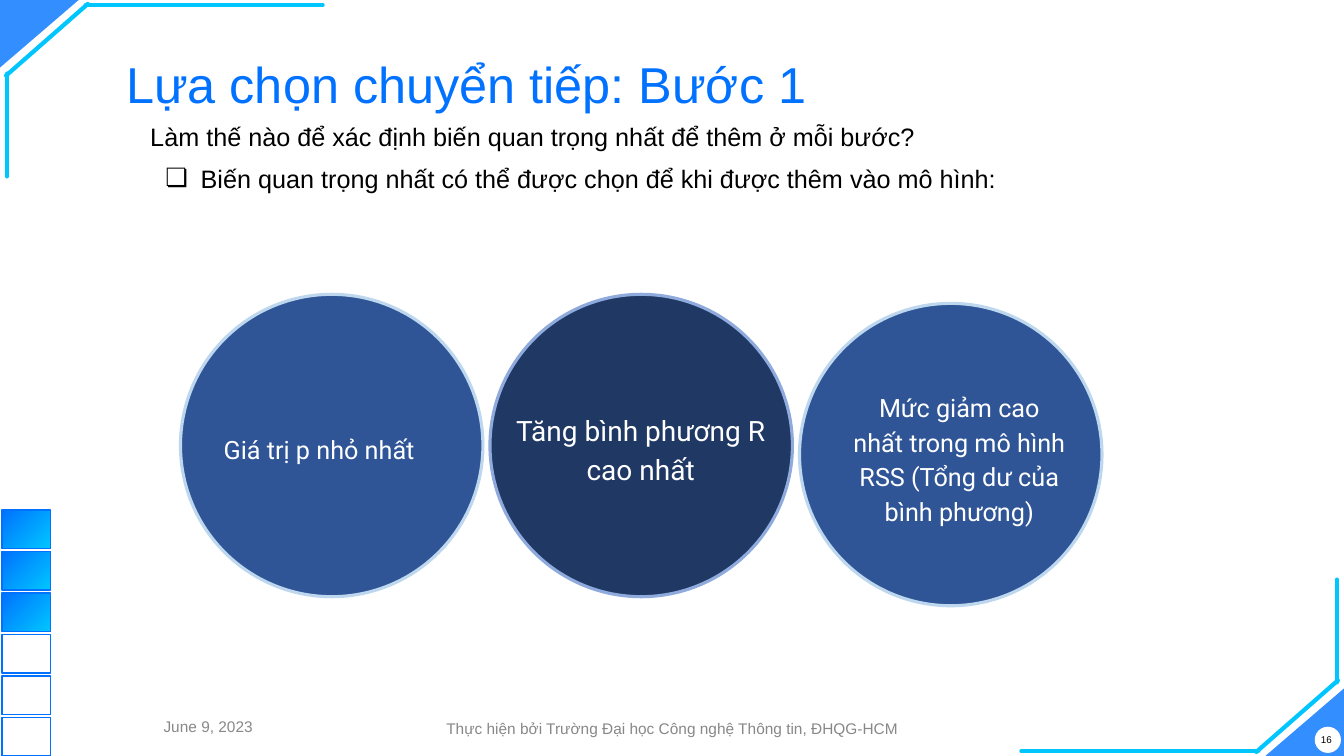
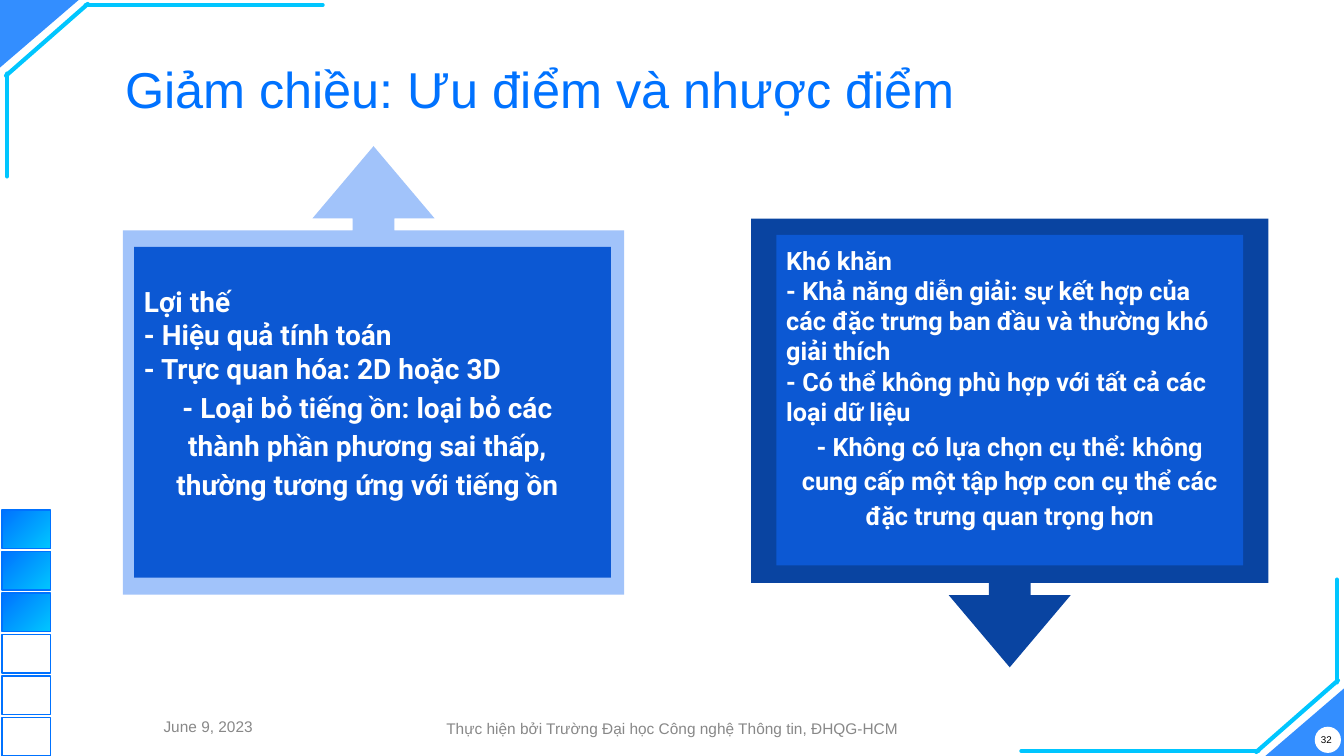
from dataclasses import dataclass
from lxml import etree
from pptx import Presentation
from pptx.dml.color import RGBColor as RGB
from pptx.enum.shapes import MSO_CONNECTOR as Link, MSO_SHAPE as Form
from pptx.enum.text import MSO_ANCHOR as Anchor, MSO_AUTO_SIZE as Fit, PP_ALIGN as Align
from pptx.oxml.ns import qn
from pptx.util import Inches, Pt

# Content
DATE = "June 9, 2023"
FOOTER = "Thực hiện bởi Trường Đại học Công nghệ Thông tin, ĐHQG-HCM"
STEP = {
    "title": "Lựa chọn chuyển tiếp: Bước 1",
    "box": (1.15, 0.49, 9.32, 0.63),
    "page": "16",
    "lead": "Làm thế nào để xác định biến quan trọng nhất để thêm ở mỗi bước?",
    "point": "Biến quan trọng nhất có thể được chọn để khi được thêm vào mô hình:",
}
# Each circle: text, top, text box, text size, alignment, dark or not
CIRCLES = [
    ("Giá trị p nhỏ nhất", 2.92, (2.12, 4.02, 2.11, 0.84), 18, Align.LEFT, False),
    ("Tăng bình phương R cao nhất", 2.92, (4.93, 4.02, 2.85, 0.84), 20, Align.CENTER, True),
    ("Mức giảm cao nhất trong mô hình RSS (Tổng dư của bình phương)", 3.01,
     (8.35, 4.04, 2.33, 0.99), 18, Align.CENTER, False),
]
TRADE = {
    "title": "Giảm chiều: Ưu điểm và nhược điểm",
    "box": (1.14, 0.54, 11.44, 0.63),
    "page": "32",
}
CARDS = [
    {"form": Form.UP_ARROW_CALLOUT, "frame": (1.22, 1.45, 4.97, 4.45), "color": "A1C3FA",
     "panel": (1.33, 2.45, 4.73, 3.28), "text": (1.33, 2.72, 4.63, 2.74), "size": 20,
     "lines": ["Lợi thế", "- Hiệu quả tính toán", "- Trực quan hóa: 2D hoặc 3D",
               "- Loại bỏ tiếng ồn: loại bỏ các thành phần phương sai thấp, "
               "thường tương ứng với tiếng ồn"]},
    {"form": Form.DOWN_ARROW_CALLOUT, "frame": (7.45, 2.17, 5.13, 4.45), "color": "0944A1",
     "panel": (7.7, 2.33, 4.63, 3.28), "text": (7.7, 2.33, 4.63, 2.74), "size": 18,
     "lines": ["Khó khăn",
               "- Khả năng diễn giải: sự kết hợp của các đặc trưng ban đầu và thường khó giải thích",
               "- Có thể không phù hợp với tất cả các loại dữ liệu",
               "- Không có lựa chọn cụ thể: không cung cấp một tập hợp con cụ thể "
               "các đặc trưng quan trọng hơn"]},
]


# Theme
@dataclass(frozen=True)
class Theme:
    wide: float = 13.33
    high: float = 7.5
    blue: str = "0072FF"
    cyan: str = "00C6FF"
    white: str = "FFFFFF"
    black: str = "000000"
    gray: str = "888888"
    panel: str = "0C58D3"
    disc: tuple = ("2F5597", "BDD7EE")
    dark: tuple = ("203864", "8FAADC")
    sans: str = "Arial"
    round: str = "Roboto"
    head: int = 36
    body: int = 18
    foot: int = 11
    page: int = 7


T = Theme()
ARROW = (0.093, 0.136, 0.161, 0.812)


# Helpers
def place(box):
    return [Inches(v) for v in box]


def write(frame, rows, anchor=Anchor.TOP, pad=0.1):
    """Fill a text frame with rows of (text, font values, paragraph values)."""
    side = Inches(0.1)
    look = {"word_wrap": True, "auto_size": Fit.NONE, "vertical_anchor": anchor,
            "margin_left": side, "margin_right": side,
            "margin_top": Inches(pad), "margin_bottom": Inches(pad)}
    for key, val in look.items():
        setattr(frame, key, val)
    for n, (text, font, form) in enumerate(rows):
        para = frame.add_paragraph() if n else frame.paragraphs[0]
        for key, val in {"space_before": Pt(0), **form}.items():
            setattr(para, key, val)
        run = para.add_run()
        run.text = text
        for key, val in font.items():
            if key == "color":
                run.font.color.rgb = RGB.from_string(val)
            else:
                setattr(run.font, key, val)


def style(name, size, color, bold=False):
    return {"name": name, "size": Pt(size), "color": color, "bold": bold}


def label(slide, box, rows, **more):
    write(slide.shapes.add_textbox(*place(box)).text_frame, rows, **more)


def draw(slide, form, box, fill=None, line=None, width=1):
    shape = slide.shapes.add_shape(form, *place(box))
    shape.shadow.inherit = False
    if fill:
        shape.fill.solid()
        shape.fill.fore_color.rgb = RGB.from_string(fill)
    else:
        shape.fill.background()
    if line:
        shape.line.color.rgb = RGB.from_string(line)
        shape.line.width = Pt(width)
    else:
        shape.line.fill.background()
    return shape


def stroke(slide, start, end):
    line = slide.shapes.add_connector(Link.STRAIGHT, *place(start + end))
    line.line.color.rgb = RGB.from_string(T.cyan)
    line.line.width = Pt(3)
    line.get_or_add_ln().set("cap", "rnd")
    etree.SubElement(line.element.spPr, qn("a:effectLst"))
    return line


def bullet(para, mark):
    props = para._p.get_or_add_pPr()
    props.set("marL", str(Inches(0.5 if mark else 0)))
    props.set("indent", str(Inches(-0.35 if mark else 0)))
    if not mark:
        etree.SubElement(props, qn("a:buNone"))
        return
    tint = etree.SubElement(props, qn("a:buClr"))
    etree.SubElement(tint, qn("a:srgbClr"), val=T.black)
    etree.SubElement(props, qn("a:buFont"), typeface=T.sans)
    etree.SubElement(props, qn("a:buChar"), char=mark)


# Shared decor, kept on the slide master
def decor(slide, master):
    parts = []
    path = [((3.2, 0.05), (0.85, 0.05)), ((0.87, 0.04), (0.06, 0.75)), ((0.07, 1.75), (0.07, 0.73))]
    for turn in (180, 0):
        spot = (0, 0) if turn else (T.wide - 0.78, T.high - 0.67)
        wedge = draw(slide, Form.ISOSCELES_TRIANGLE, (*spot, 0.78, 0.67), T.blue)
        wedge.adjustments[0] = 1
        wedge.rotation = turn
        tint = wedge.element.spPr.find(".//" + qn("a:srgbClr"))
        etree.SubElement(tint, qn("a:alpha"), val="80000")
        parts.append(wedge)
        for ends in path:
            if not turn:
                ends = [(T.wide - x, T.high - y) for x, y in ends]
            parts.append(stroke(slide, *ends))
    parts.append(draw(slide, Form.OVAL, (13.04, 7.21, 0.26, 0.26), T.white))
    for n in range(6):
        tile = draw(slide, Form.RECTANGLE, (0.02, 5.06 + n * 0.412, 0.48, 0.38), line=T.blue)
        if n < 3:
            tile.fill.gradient()
            tile.fill.gradient_angle = 315
            for stop, color in zip(tile.fill.gradient_stops, (T.blue, T.cyan)):
                stop.color.rgb = RGB.from_string(color)
        parts.append(tile)
    for n, part in enumerate(parts):
        part.element.xpath(".//p:cNvPr")[0].set("id", str(100 + n))
        master.shapes.element.append(part.element)


def start(deck, layout, info):
    slide = deck.slides.add_slide(deck.slide_layouts[layout])
    foot = style(T.sans, T.foot, T.gray)
    mid = {"alignment": Align.CENTER}
    for box, text, font in [
        ((3.99, 7.08, 5.36, 0.29), FOOTER, foot),
        ((12.8, 7.18, 0.71, 0.32), info["page"], style(T.sans, T.page, T.black)),
        ((0.92, 7.06, 2.29, 0.29), DATE, foot),
    ]:
        label(slide, box, [(text, font, mid)], anchor=Anchor.MIDDLE, pad=0.05)
    title = slide.shapes.title
    title.left, title.top, title.width, title.height = place(info["box"])
    write(title.text_frame, [(info["title"], style(T.sans, T.head, T.blue),
                              {"alignment": Align.LEFT, "line_spacing": 0.9})])
    return slide


# Slides
def step(deck):
    slide = start(deck, 1, STEP)
    decor(slide, deck.slide_master)
    body = slide.placeholders[1]
    body.left, body.top, body.width, body.height = place((1.39, 1.1, 10.07, 1.21))
    font = style(T.sans, T.body, T.black)
    write(body.text_frame, [
        (STEP["lead"], font, {"alignment": Align.JUSTIFY, "line_spacing": 1.0}),
        (STEP["point"], font, {"alignment": Align.JUSTIFY, "line_spacing": 1.3,
                               "space_before": Pt(2)}),
    ])
    for para, mark in zip(body.text_frame.paragraphs, (None, "❏")):
        bullet(para, mark)
    for n, (text, top, box, size, align, dark) in enumerate(CIRCLES):
        fill, line = T.dark if dark else T.disc
        draw(slide, Form.OVAL, (1.79 + n * 3.07, top, 3, 3), fill, line, 2.25)
        label(slide, box, [(text, style(T.round, size, T.white),
                            {"alignment": align, "line_spacing": 1.15})], anchor=Anchor.MIDDLE)


def trade(deck):
    slide = start(deck, 5, TRADE)
    for card in CARDS:
        arrow = draw(slide, card["form"], card["frame"], card["color"])
        for n, val in enumerate(ARROW):
            arrow.adjustments[n] = val
        draw(slide, Form.RECTANGLE, card["panel"], T.panel)
        font = style(T.round, card["size"], T.white, True)
        *lines, last = card["lines"]
        rows = [(line, font, {"alignment": Align.LEFT, "line_spacing": 1.0}) for line in lines]
        rows.append((last, font, {"alignment": Align.CENTER, "line_spacing": 1.15}))
        label(slide, card["text"], rows)


def main():
    deck = Presentation()
    deck.slide_width, deck.slide_height = Inches(T.wide), Inches(T.high)
    step(deck)
    trade(deck)
    deck.save("out.pptx")


if __name__ == "__main__":
    main()
